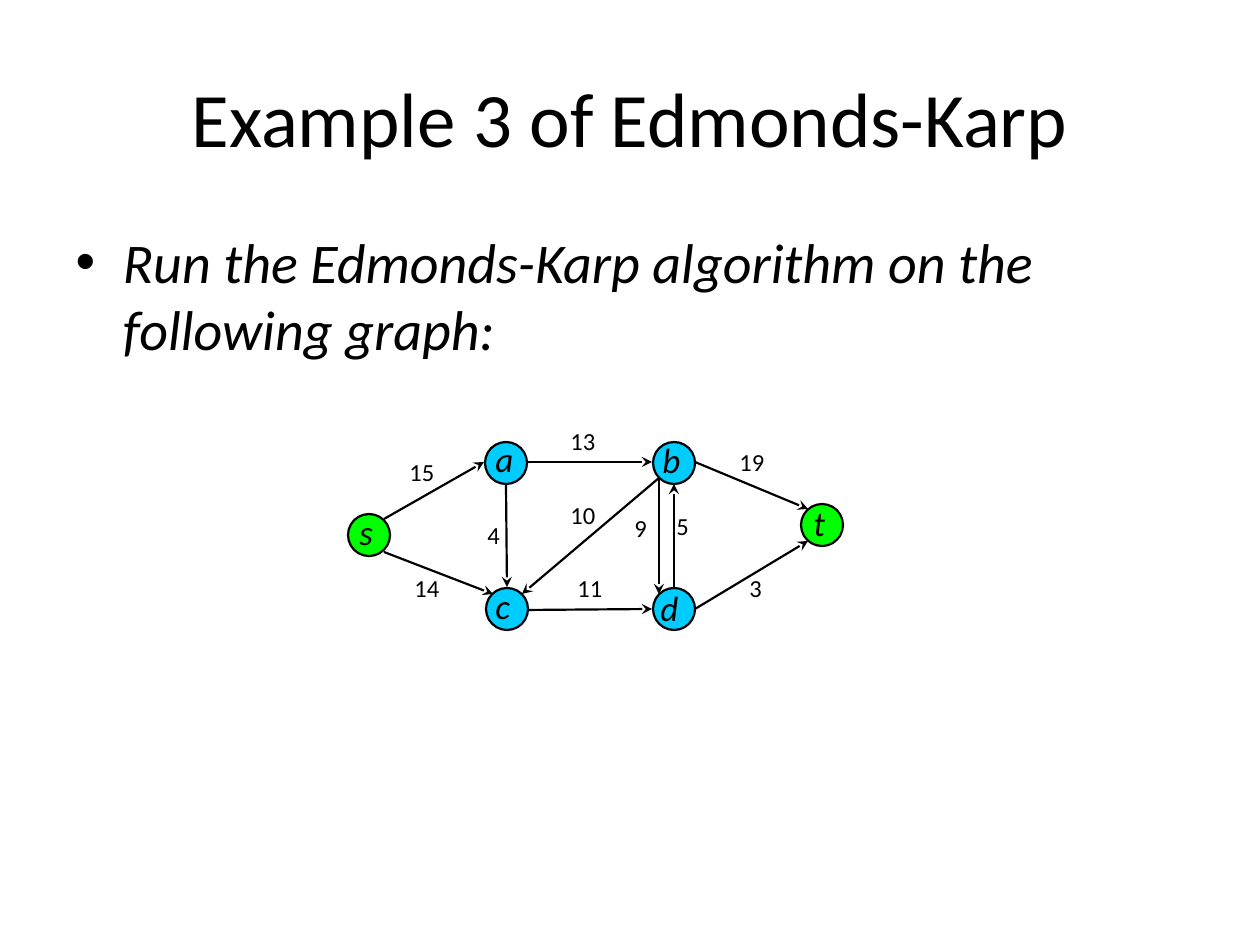
"""Build a slide with a flow network for the Edmonds-Karp algorithm."""
from lxml import etree
from pptx import Presentation
from pptx.dml.color import RGBColor
from pptx.enum.shapes import MSO_CONNECTOR, MSO_SHAPE
from pptx.oxml.ns import qn
from pptx.util import Pt

PX = 914400 / 126
OVAL = MSO_SHAPE.OVAL
STRAIGHT = MSO_CONNECTOR.STRAIGHT
FONT = "Calibri"
BLACK, BLUE, GREEN = "000000", "00CCFF", "00FF00"
NODE_SIZE = 42


def emu(*lengths):
    return [round(length * PX) for length in lengths]


def style(paragraph, size, italic=False):
    for run in paragraph.runs:
        run.font.name = FONT
        run.font.size = Pt(size)
        run.font.italic = italic
        run.font.color.rgb = RGBColor.from_string(BLACK)


prs = Presentation()
prs.slide_width, prs.slide_height = emu(1260, 945)
slide = prs.slides.add_slide(prs.slide_layouts[1])
shapes = slide.shapes

title, task = slide.placeholders
title.left, title.top, title.width, title.height = emu(63, 38, 1134, 158)
title.text_frame.text = "Example 3 of Edmonds-Karp"
style(title.text_frame.paragraphs[0], 44)
task.left, task.top, task.width, task.height = emu(63, 221, 1134, 624)
task.text_frame.text = "Run the Edmonds-Karp algorithm on the following graph:"
style(task.text_frame.paragraphs[0], 32, italic=True)

edges = [
    ("15", (384, 519), (484, 462), (397, 451)),
    ("14", (384, 552), (493, 594), (402, 567)),
    ("13", (528, 462), (652, 462), (558, 420)),
    ("4", (506, 484), (507, 587), (475, 514)),
    ("10", (659, 478), (522, 594), (558, 494)),
    ("11", (528, 610), (652, 609), (565, 567)),
    ("9", (659, 478), (659, 594), (622, 507)),
    ("5", (674, 587), (674, 484), (664, 505)),
    ("19", (695, 462), (808, 509), (727, 441)),
    ("3", (695, 609), (808, 541), (737, 567)),
]
nodes = [
    ("s", (348, 514), GREEN, (347, 504, 44)),
    ("a", (485, 442), BLUE, (483, 431, 47)),
    ("b", (653, 442), BLUE, (650, 432, 48)),
    ("c", (486, 588), BLUE, (483, 578, 44)),
    ("d", (653, 588), BLUE, (648, 580, 48)),
    ("t", (801, 504), GREEN, (801, 495, 39)),
]
labels = []

for capacity, start, end, (left, top) in edges:
    edge = shapes.add_connector(STRAIGHT, *emu(*start, *end))
    edge.line.color.rgb = RGBColor.from_string(BLACK)
    edge.line.width = Pt(1.25)
    etree.SubElement(edge.line._get_or_add_ln(), qn("a:tailEnd"), type="stealth")
    etree.SubElement(edge._element.spPr, qn("a:effectLst"))
    width = 57 if len(capacity) == 2 else 40
    labels.append((capacity, (left, top, width, 42), 14, False))

for letter, corner, color, (left, top, width) in nodes:
    node = shapes.add_shape(OVAL, *emu(*corner, NODE_SIZE, NODE_SIZE))
    node.shadow.inherit = False
    node.fill.solid()
    node.fill.fore_color.rgb = RGBColor.from_string(color)
    node.line.color.rgb = RGBColor.from_string(BLACK)
    node.line.width = Pt(1.25)
    labels.append((letter, (left, top, width, 54), 20, True))

for text, box, size, italic in labels:
    label = shapes.add_textbox(*emu(*box))
    label.text_frame.word_wrap = False
    label.text_frame.text = text
    style(label.text_frame.paragraphs[0], size, italic)

prs.save("out.pptx")
